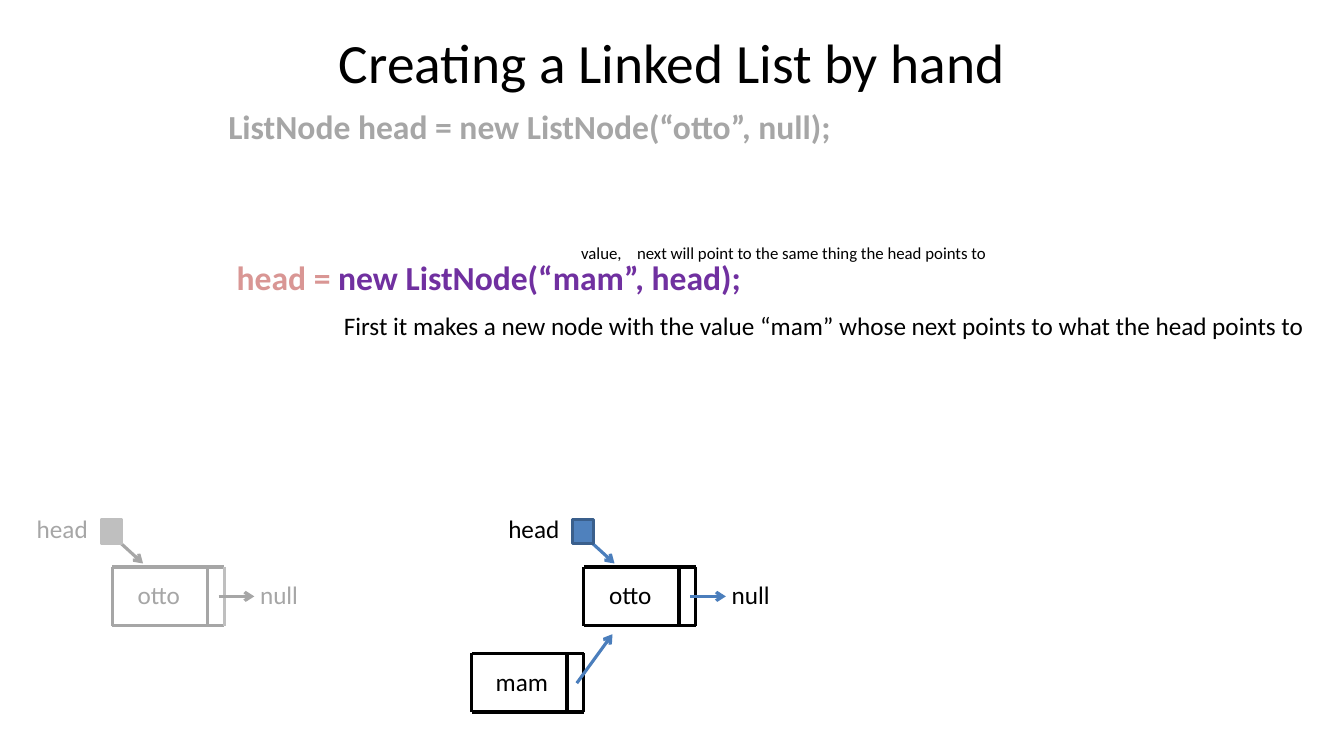
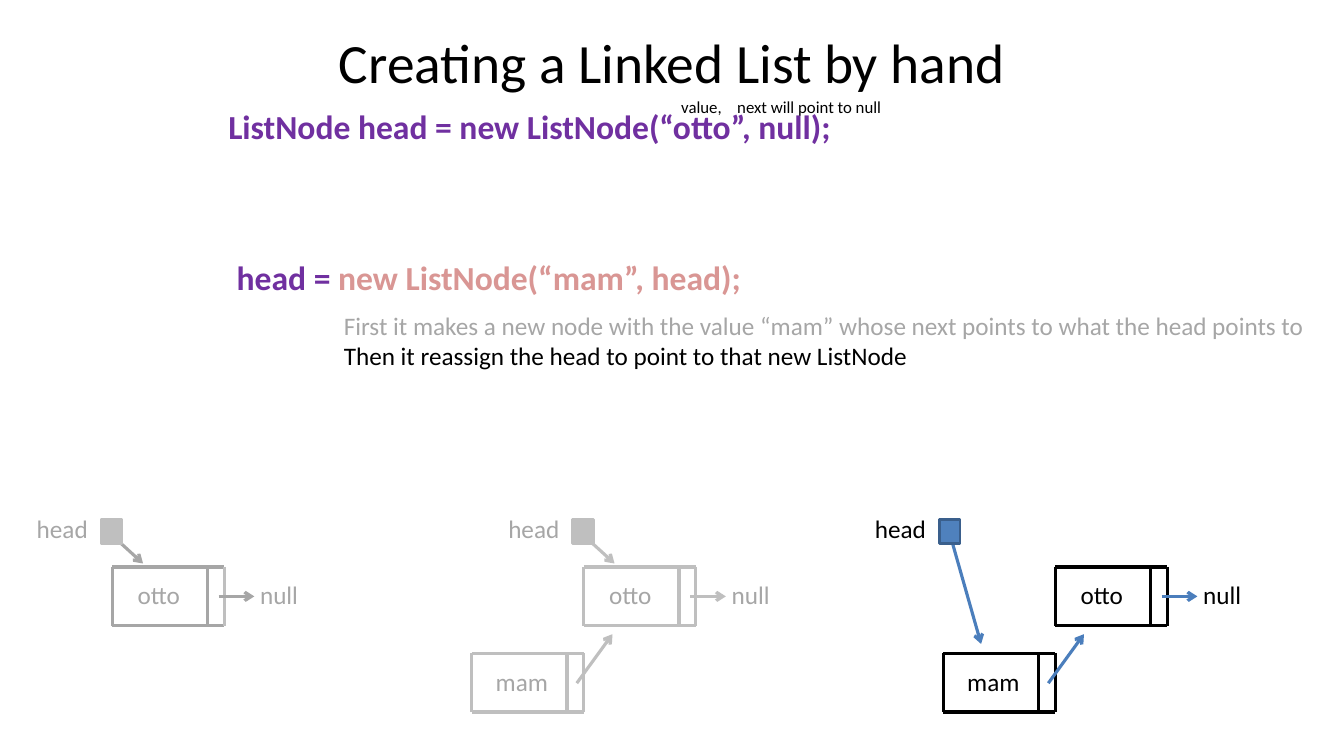
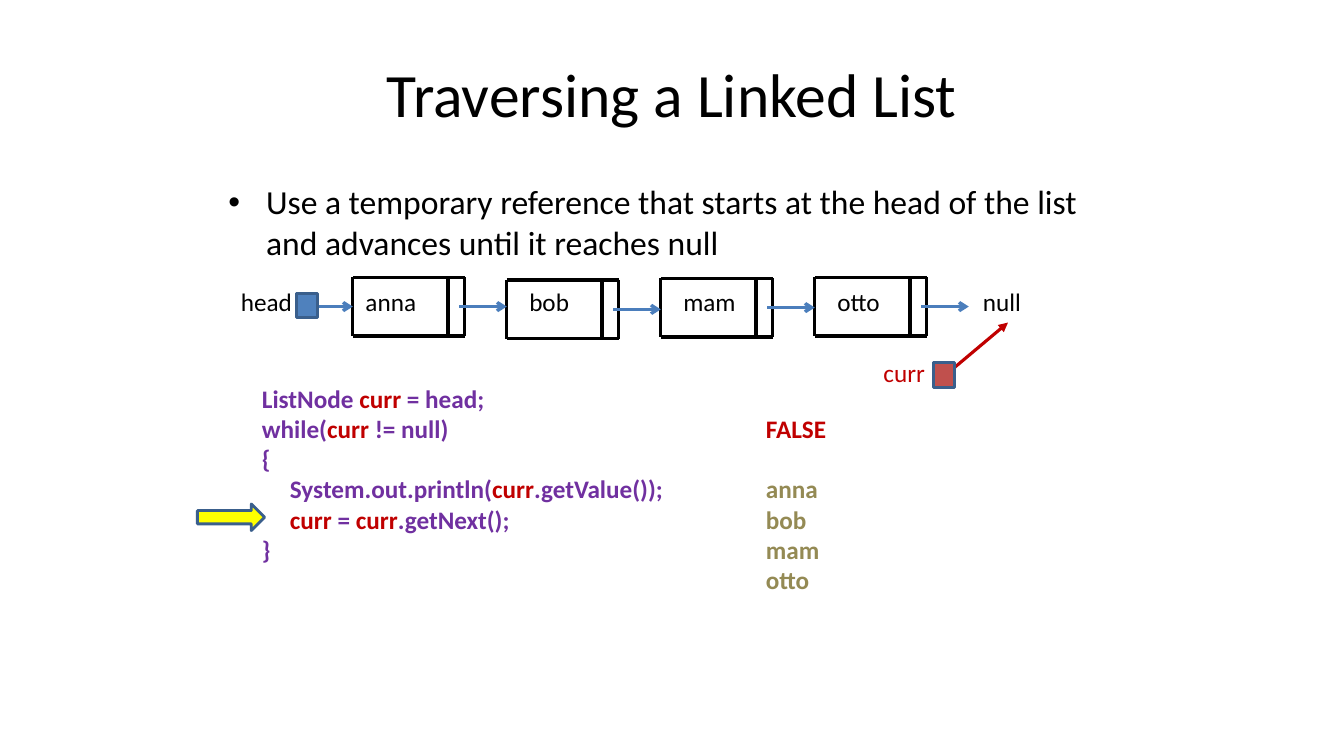
from lxml.etree import SubElement
from pptx import Presentation
from pptx.dml.color import RGBColor as RGB
from pptx.enum.shapes import MSO_CONNECTOR as CONN, MSO_SHAPE as SHAPE
from pptx.enum.text import MSO_ANCHOR as ANCHOR, PP_ALIGN as ALIGN
from pptx.oxml.ns import qn
from pptx.util import Pt

BLACK = RGB(0x00, 0x00, 0x00)
GREY = RGB(0xA6, 0xA6, 0xA6)
LIGHT = RGB(0xBF, 0xBF, 0xBF)
BLUE = RGB(0x4F, 0x81, 0xBD)
BLUE_LINE = RGB(0x4B, 0x7E, 0xBC)
BLUE_EDGE = RGB(0x3A, 0x5F, 0x8C)
PURPLE = RGB(0x70, 0x30, 0xA0)
PINK = RGB(0xD9, 0x96, 0x94)
RED = RGB(0xC0, 0x00, 0x00)
RED_FILL = RGB(0xC0, 0x50, 0x4D)
OLIVE = RGB(0x94, 0x8A, 0x54)
YELLOW = RGB(0xFF, 0xFF, 0x00)

FONT = "Calibri"
NODE_W, NODE_H, DIVIDER = 80, 42, 68
BOX_W, BOX_H = 15, 17.5
LABEL_W, LABEL_H = 61, 29

# Step styles: text, node edge, right edge, arrow, box fill, box line
FIRST_OLD = (GREY, GREY, LIGHT, GREY, LIGHT, LIGHT)
OLD = (GREY, LIGHT, LIGHT, LIGHT, LIGHT, LIGHT)
CURRENT = (BLACK, BLACK, BLACK, BLUE_LINE, BLUE, BLUE_EDGE)


def add_text(s, x, y, w, h, paras, size=18, bold=False, tabs=()):
    """Add a text box; each paragraph is a list of (text, colour) runs."""
    tf = s.shapes.add_textbox(Pt(x), Pt(y), Pt(w), Pt(h)).text_frame
    tf.word_wrap = True
    for i, runs in enumerate(paras):
        p = tf.paragraphs[0] if i == 0 else tf.add_paragraph()
        for text, colour in runs:
            r = p.add_run()
            r.text = text
            r.font.name, r.font.size, r.font.bold = FONT, Pt(size), bold
            r.font.color.rgb = colour
        if tabs:
            tab_list = SubElement(p._p.get_or_add_pPr(), qn("a:tabLst"))
            for pos in tabs:
                SubElement(tab_list, qn("a:tab"), pos=str(Pt(pos)), algn="l")
    return tf


def add_line(s, x1, y1, x2, y2, colour, tip=None):
    c = s.shapes.add_connector(CONN.STRAIGHT, Pt(x1), Pt(y1), Pt(x2), Pt(y2))
    c.line.width = Pt(2.25)
    c.line.color.rgb = colour
    if tip:
        SubElement(c.line._ln, qn("a:tailEnd"), type=tip)
    SubElement(c._element.spPr, qn("a:effectLst"))


prs = Presentation()
prs.slide_width, prs.slide_height = Pt(960), Pt(540)
slides = [prs.slides.add_slide(prs.slide_layouts[6]) for _ in range(3)]
by_hand, reassign, traverse = slides

# Titles
HAND_TITLE = ("Creating a Linked List by hand", 156, 648, 45, 39.6)
for s, (title, x, w, h, size) in zip(slides, (
        HAND_TITLE, HAND_TITLE, ("Traversing a Linked List", 48, 864, 90, 44))):
    tf = add_text(s, x, 21.5, w, h, [[(title, BLACK)]], size)
    tf.vertical_anchor = ANCHOR.MIDDLE
    tf.paragraphs[0].alignment = ALIGN.CENTER

# Code lines and explanations of the first two slides
MAKE = "First it makes a new node with the value “mam” whose next points to what the head points to"
THEN = "Then it reassign the head to point to that new ListNode"
for s, first_colour, assign, hint, hint_at, notes in (
        (by_hand, GREY,
         [("head = ", PINK), ("new ListNode(“mam”, head);", PURPLE)],
         "value,\tnext will point to the same thing the head points to",
         (408, 170, 354, 22), [[(MAKE, BLACK)]]),
        (reassign, PURPLE,
         [("head =", PURPLE), (" new ListNode(“mam”, head);", PINK)],
         "value,\tnext will point to null",
         (479.5, 65.5, 170, 22), [[(MAKE, GREY)], [(THEN, BLACK)]])):
    add_text(s, 156, 72, 606, 48,
             [[("ListNode head = new ListNode(“otto”, null);", first_colour)]], 24, True)
    add_text(s, 162, 180, 630, 36, [assign], 24, True)
    add_text(s, *hint_at, [[(hint, BLACK)]], 12, tabs=[40])
    add_text(s, 238.5, 218, 709, 24 + 22 * len(notes), notes)

# Diagram parts, gathered for each slide
nodes, arrows, boxes, labels = [], [], [], []

# Steps of the list: one column for each step
for s, styles in ((by_hand, (FIRST_OLD, CURRENT)),
                  (reassign, (FIRST_OLD, OLD, CURRENT))):
    for step, (ink, edge, right, arrow, fill, outline) in enumerate(styles):
        x, y = 80.2 + 336.8 * step, 405
        head_x, head_end = (x - 75, 460) if step == 2 else (x, 402.5)
        nodes.append((s, x, y, edge, right))
        arrows += [(s, head_x, 382.5, head_x + 22, head_end, arrow, "arrow"),
                   (s, x + 76, y + 21, x + 101.5, y + 21, arrow, "arrow")]
        boxes.append((s, SHAPE.RECTANGLE, head_x - 8, 371, BOX_W, BOX_H, fill, outline))
        labels += [(s, head_x - 61, 363, "head", ink),
                   (s, x + 11, y + 5.5, "otto", ink),
                   (s, x + 98.5, y + 5.5, "null", ink)]
        if step:
            mam_x, mam_y = x - NODE_W, 466.6
            nodes.append((s, mam_x, mam_y, edge, right))
            arrows.append((s, x - 5, mam_y + 21.4, x + 20.5, 453, arrow, "arrow"))
            labels.append((s, mam_x + 10, mam_y + 5.5, "mam", ink))

# Traversal: bullet and chain of nodes
tf = add_text(traverse, 156, 126, 648, 66, [[(
    "Use a temporary reference that starts at the head of the list"
    " and advances until it reaches null", BLACK)]], 24)
pPr = tf.paragraphs[0]._p.get_or_add_pPr()
pPr.set("marL", str(Pt(27)))
pPr.set("indent", str(Pt(-27)))
SubElement(pPr, qn("a:buFont"), typeface="Arial")
SubElement(pPr, qn("a:buChar"), char="•")

for i, (name, y, inset) in enumerate((
        ("anna", 198, 2), ("bob", 200, 9), ("mam", 198.7, 9), ("otto", 198, 9))):
    x = 252 + 110 * i
    nodes.append((traverse, x, y, BLACK, BLACK))
    arrows.append((traverse, x + 76, y + 21, x + 110, y + 21, BLUE_LINE, "arrow"))
    labels.append((traverse, x + inset, 201, name, BLACK))
labels += [(traverse, 165, 201, "head", BLACK),
           (traverse, 695, 201, "null", BLACK),
           (traverse, 624, 251.5, "curr", RED)]
arrows += [(traverse, 217.5, 219, 252, 219, BLUE_LINE, "arrow"),
           (traverse, 678, 265.7, 720, 230.4, RED, "triangle")]
boxes += [(traverse, SHAPE.RECTANGLE, 211.7, 209.5, BOX_W, BOX_H, BLUE, BLUE_EDGE),
          (traverse, SHAPE.RECTANGLE, 666.7, 259.2, BOX_W, BOX_H, RED_FILL, BLUE_EDGE),
          (traverse, SHAPE.RIGHT_ARROW, 141, 360, 48, 19, YELLOW, BLUE_EDGE)]

# Draw the diagrams
for s, x, y, edge, right in nodes:
    for dy in (0, NODE_H):
        add_line(s, x, y + dy, x + NODE_W, y + dy, edge)
    for dx, colour in ((0, edge), (DIVIDER, edge), (NODE_W, right)):
        add_line(s, x + dx, y, x + dx, y + NODE_H, colour)
for arrow in arrows:
    add_line(*arrow)
for s, kind, x, y, w, h, fill, outline in boxes:
    sp = s.shapes.add_shape(kind, Pt(x), Pt(y), Pt(w), Pt(h))
    sp.shadow.inherit = False
    sp.fill.solid()
    sp.fill.fore_color.rgb = fill
    sp.line.color.rgb = outline
    sp.line.width = Pt(2)
for s, x, y, text, colour in labels:
    add_text(s, x, y, LABEL_W, LABEL_H, [[(text, colour)]])

# Traversal code, with the results in a second column
add_text(traverse, 180, 270, 624, 160, [
    [("ListNode ", PURPLE), ("curr", RED), (" = head;", PURPLE)],
    [("while(", PURPLE), ("curr ", RED), ("!= null)\t", PURPLE), ("FALSE", RED)],
    [("{", PURPLE)],
    [("\tSystem.out.println(", PURPLE), ("curr", RED), (".getValue());\t", PURPLE),
     ("anna", OLIVE)],
    [("\t", PURPLE), ("curr", RED), (" = ", PURPLE), ("curr", RED),
     (".getNext();\t", PURPLE), ("bob", OLIVE)],
    [("}\t\t", PURPLE), ("mam", OLIVE)],
    [("\t\totto", OLIVE)],
], bold=True, tabs=[20, 360])

prs.save("out.pptx")
